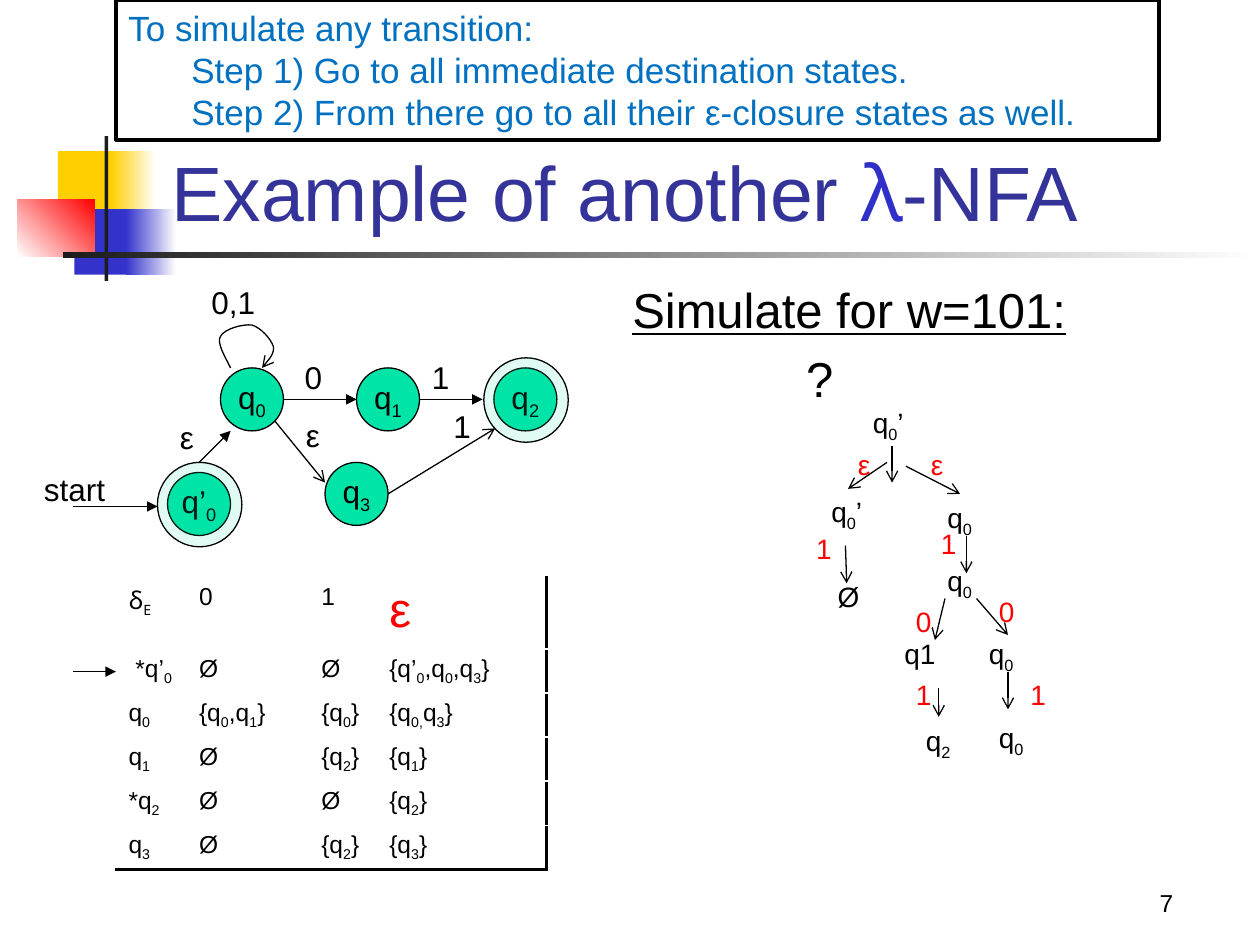
from lxml.etree import SubElement
from pptx import Presentation
from pptx.dml.color import RGBColor
from pptx.enum.shapes import MSO_CONNECTOR, MSO_SHAPE
from pptx.enum.text import MSO_ANCHOR, MSO_AUTO_SIZE, PP_ALIGN
from pptx.oxml.ns import qn
from pptx.util import Inches, Pt

COLORS = {"black": "000000", "white": "FFFFFF", "red": "FF0000", "yellow": "FFCF01",
          "blue": "3333CC", "charcoal": "1C1C1C", "title": "333399", "lambda": "3030C9",
          "state": "00E4A8", "banner": "0070C0"}


def rgb(name):
    """Return the named colour."""
    return RGBColor.from_string(COLORS[name])


class Page:
    """Holds the style and the current slide; text between tildes is subscript."""

    def __init__(self, deck, face="Arial"):
        self.slide = deck.slides.add_slide(deck.slide_layouts[5])
        self.shapes = self.slide.shapes
        self.face = face

    def style(self, font, size, color="black", face=None):
        font.size, font.name = Pt(size), face or self.face
        font.color.rgb = rgb(color)

    def fill_text(self, para, text, size, color="black", face=None):
        if "~" in text:
            for index, part in enumerate(text.split("~")):
                if part:
                    span = para.add_run()
                    span.text = part
                    if index % 2:
                        span.font._element.set("baseline", "-25000")
        else:
            para.text = text
        self.style(para.font, size, color, face)

    def title(self, parts, left, top, width, height):
        box = self.shapes.title
        self.shapes._spTree.append(box._element)
        box.left, box.top, box.width, box.height = map(Inches, (left, top, width, height))
        frame = box.text_frame
        frame.auto_size, frame.vertical_anchor = MSO_AUTO_SIZE.NONE, MSO_ANCHOR.BOTTOM
        para = frame.paragraphs[0]
        para.alignment = PP_ALIGN.LEFT
        for text, color, face in parts:
            span = para.add_run()
            span.text = text
            self.style(span.font, 44, color, face)

    def label(self, text, left, top, width, height=0.37, size=16, color="black"):
        box = self.shapes.add_textbox(*map(Inches, (left, top, width, height)))
        box.text_frame.word_wrap = False
        box.text_frame.auto_size = MSO_AUTO_SIZE.SHAPE_TO_FIT_TEXT
        self.fill_text(box.text_frame.paragraphs[0], text, size, color)
        return box

    def block(self, left, top, width, height, color, end=None, angle=0,
              kind=MSO_SHAPE.RECTANGLE, outline=0):
        shape = self.shapes.add_shape(kind, *map(Inches, (left, top, width, height)))
        shape.shadow.inherit = False
        if end:
            shape.fill.gradient()
            shape.fill.gradient_angle = angle
            for stop, name in zip(shape.fill.gradient_stops, (color, end)):
                stop.color.rgb = rgb(name)
        else:
            shape.fill.solid()
            shape.fill.fore_color.rgb = rgb(color)
        if outline:
            shape.line.color.rgb, shape.line.width = rgb("black"), Pt(outline)
        else:
            shape.line.fill.background()
        return shape

    def state(self, text, x, y, accepting=False):
        disc = self.block(x - 0.25, y - 0.25, 0.5, 0.5, "state",
                          kind=MSO_SHAPE.OVAL, outline=0.75)
        frame = disc.text_frame
        frame.word_wrap, frame.vertical_anchor = False, MSO_ANCHOR.MIDDLE
        frame.paragraphs[0].alignment = PP_ALIGN.CENTER
        self.fill_text(frame.paragraphs[0], text, 18)
        if accepting:
            ring = self.block(x - 0.33, y - 0.33, 0.67, 0.67, "state",
                              kind=MSO_SHAPE.OVAL, outline=0.75)
            shade = ring._element.spPr.find(qn("a:solidFill")).find(qn("a:srgbClr"))
            SubElement(shade, qn("a:alpha"), val="12000")

    def stroke(self, shape, head):
        shape.line.color.rgb, shape.line.width = rgb("black"), Pt(0.75)
        properties = shape._element.spPr
        SubElement(properties.find(qn("a:ln")), qn("a:tailEnd"), type=head)
        SubElement(properties, qn("a:effectLst"))

    def arrow(self, x1, y1, x2, y2, head="arrow"):
        ends = map(Inches, (x1, y1, x2, y2))
        self.stroke(self.shapes.add_connector(MSO_CONNECTOR.STRAIGHT, *ends), head)

    def curve(self, start, segments, steps=8):
        points, current = [], start
        for a, b, end in segments:
            for step in range(1, steps + 1):
                t = step / steps
                points.append([Inches((1 - t) ** 3 * p + 3 * t * (1 - t) ** 2 * q
                                      + 3 * t * t * (1 - t) * r + t ** 3 * s)
                               for p, q, r, s in zip(current, a, b, end)])
            current = end
        builder = self.shapes.build_freeform(*map(Inches, start))
        builder.add_line_segments(points, close=False)
        loop = builder.convert_to_shape()
        loop.fill.background()
        self.stroke(loop, "arrow")

    def table(self, rows, left, top, widths, heights):
        grid = self.shapes.add_table(len(rows), len(widths), Inches(left), Inches(top),
                                     Inches(sum(widths)), Inches(sum(heights))).table
        grid.first_row = grid.horz_banding = False
        for column, width in zip(grid.columns, widths):
            column.width = Inches(width)
        for r, (row, height) in enumerate(zip(rows, heights)):
            grid.rows[r].height = Inches(height)
            for c, text in enumerate(row):
                cell = grid.cell(r, c)
                big = text == "ε"
                self.fill_text(cell.text_frame.paragraphs[0], text, 28 if big else 14,
                               "red" if big else "black", "Noto Sans" if r == c == 0 else None)
                edges = {"a:lnR": c == len(widths) - 1, "a:lnB": r == len(rows) - 1}
                for tag, outer in edges.items():
                    edge = SubElement(cell._tc.get_or_add_tcPr(), qn(tag),
                                      w=str(Pt(2.25 if outer else 1)))
                    SubElement(SubElement(edge, qn("a:solidFill")), qn("a:srgbClr"),
                               val=COLORS["black"])
                cell.fill.background()


def main():
    """Build the slide and save it."""
    deck = Presentation()
    deck.slide_width, deck.slide_height = Inches(10), Inches(7.5)
    page = Page(deck)

    page.block(0.46, 1.2, 0.48, 0.52, "yellow")
    page.block(0.88, 1.2, 0.36, 0.52, "yellow", "white")
    page.block(0.59, 1.66, 0.46, 0.52, "blue")
    page.block(1, 1.66, 0.4, 0.52, "blue", "white")
    page.block(0.14, 1.58, 0.61, 0.46, "white", "red", 45)
    page.block(0.83, 1.08, 0.03, 1.15, "charcoal")
    page.block(0.5, 2, 9.5, 0.05, "charcoal", "white")
    page.title([("Example of another ", "title", None), ("λ", "lambda", "Comic Neue"),
                ("-NFA", "title", None)], 1.26, 0.68, 8.52, 1.25)

    number = page.label("7", 7.33, 6.83, 2.08, 0.5, 14).text_frame
    number.word_wrap, number.auto_size = True, MSO_AUTO_SIZE.NONE
    number.vertical_anchor = MSO_ANCHOR.BOTTOM
    number.paragraphs[0].alignment = PP_ALIGN.RIGHT

    page.table([("δ~E~", "0", "1", "ε"),
                (" *q’~0~", "Ø", "Ø", "{q’~0~,q~0~,q~3~}"),
                ("q~0~", "{q~0~,q~1~}", "{q~0~}", "{q~0,~q~3~}"),
                ("q~1~", "Ø", "{q~2~}", "{q~1~}"),
                ("*q~2~", "Ø", "Ø", "{q~2~}"),
                ("q~3~", "Ø", "{q~2~}", "{q~3~}")],
               0.92, 4.58, (0.56, 0.97, 0.54, 1.35), [0.57] + [0.35] * 5)
    page.arrow(0.58, 5.33, 0.92, 5.33, "triangle")

    task = page.label("Simulate for w=101:", 4.92, 2.17, 4.17, 0.83, 28).text_frame
    task.word_wrap, task.auto_size = True, MSO_AUTO_SIZE.NONE
    task.paragraphs[0].font.underline = True
    question = task.add_paragraph()
    page.fill_text(question, "\t\t\t?", 28)
    question.space_before = Pt(5.6)
    for para in task.paragraphs:
        para._p.get_or_add_pPr().set("marL", str(Inches(0.38)))
        para._p.get_or_add_pPr().set("indent", str(Inches(-0.38)))

    for text, x, y, accepting in [("q~0~", 2, 3.17, False), ("q~1~", 3.08, 3.17, False),
                                  ("q~2~", 4.17, 3.17, True), ("q’~0~", 1.58, 4, True),
                                  ("q~3~", 2.83, 3.92, False)]:
        page.state(text, x, y, accepting)
    for ends in [(0.58, 4.02, 1.25, 4.02), (2.25, 3.17, 2.83, 3.17),
                 (3.33, 3.17, 3.83, 3.17), (1.58, 3.67, 1.83, 3.42)]:
        page.arrow(*ends, "triangle")
    page.curve((1.83, 2.92), [((1.78, 2.82), (1.72, 2.72), (1.75, 2.67)),
                              ((1.78, 2.61), (1.93, 2.57), (2, 2.58)),
                              ((2.07, 2.6), (2.15, 2.69), (2.17, 2.75)),
                              ((2.18, 2.81), (2.13, 2.86), (2.08, 2.92))])
    for text, left, top, width in [("start", 0.25, 3.68, 0.69), ("0,1", 1.58, 2.2, 0.55),
                                   ("0", 2.32, 2.79, 0.34), ("1", 3.33, 2.79, 0.34),
                                   ("ε", 1.33, 3.27, 0.31), ("ε", 2.33, 3.25, 0.31),
                                   ("1", 3.5, 3.18, 0.34)]:
        page.label(text, left, top, width, 0.4, 18)

    banner = page.block(0.92, 0, 8.28, 1.11, "white", outline=2).text_frame
    banner.word_wrap = False
    banner.vertical_anchor = MSO_ANCHOR.TOP
    steps = ["To simulate any transition:\v\tStep 1) Go to all immediate destination states.",
             "\tStep 2) From there go to all their ε-closure states as well."]
    for para, text in zip((banner.paragraphs[0], banner.add_paragraph()), steps):
        para.alignment = PP_ALIGN.LEFT
        page.fill_text(para, text, 20, "banner")

    for ends in [(2.18, 3.34, 2.58, 3.83), (3.08, 3.92, 3.93, 3.4),
                 (7.08, 3.54, 7.08, 3.83), (7.04, 3.67, 6.73, 3.88),
                 (7.19, 3.7, 7.62, 3.92), (6.71, 4.33, 6.72, 4.63),
                 (7.67, 4.25, 7.67, 4.55), (7.5, 4.75, 7.42, 5.08),
                 (7.75, 4.75, 8, 5.04), (7.45, 5.46, 7.45, 5.69), (8, 5.33, 8, 5.63)]:
        page.arrow(*ends)
    for text, left, top, width in [("q~0~’", 6.83, 3.17, 0.46), ("q~0~’", 6.5, 3.88, 0.46),
                                   ("q~0~", 7.42, 3.92, 0.41), ("q~0~", 7.42, 4.42, 0.41),
                                   ("Ø", 6.55, 4.55, 0.38), ("q1", 7.08, 5, 0.45),
                                   ("q~0~", 7.75, 5, 0.41), ("q~2~", 7.25, 5.69, 0.41),
                                   ("q~0~", 7.83, 5.67, 0.41)]:
        page.label(text, left, top, width)
    for text, left, top in [("ε", 6.71, 3.5), ("ε", 7.29, 3.5), ("1", 6.38, 4.17),
                            ("1", 7.37, 4.13), ("0", 7.17, 4.75), ("0", 7.83, 4.67),
                            ("1", 7.17, 5.33), ("1", 8.08, 5.33)]:
        page.label(text, left, top, 0.3 if text == "ε" else 0.33, color="red")
    deck.save("out.pptx")


if __name__ == "__main__":
    main()
